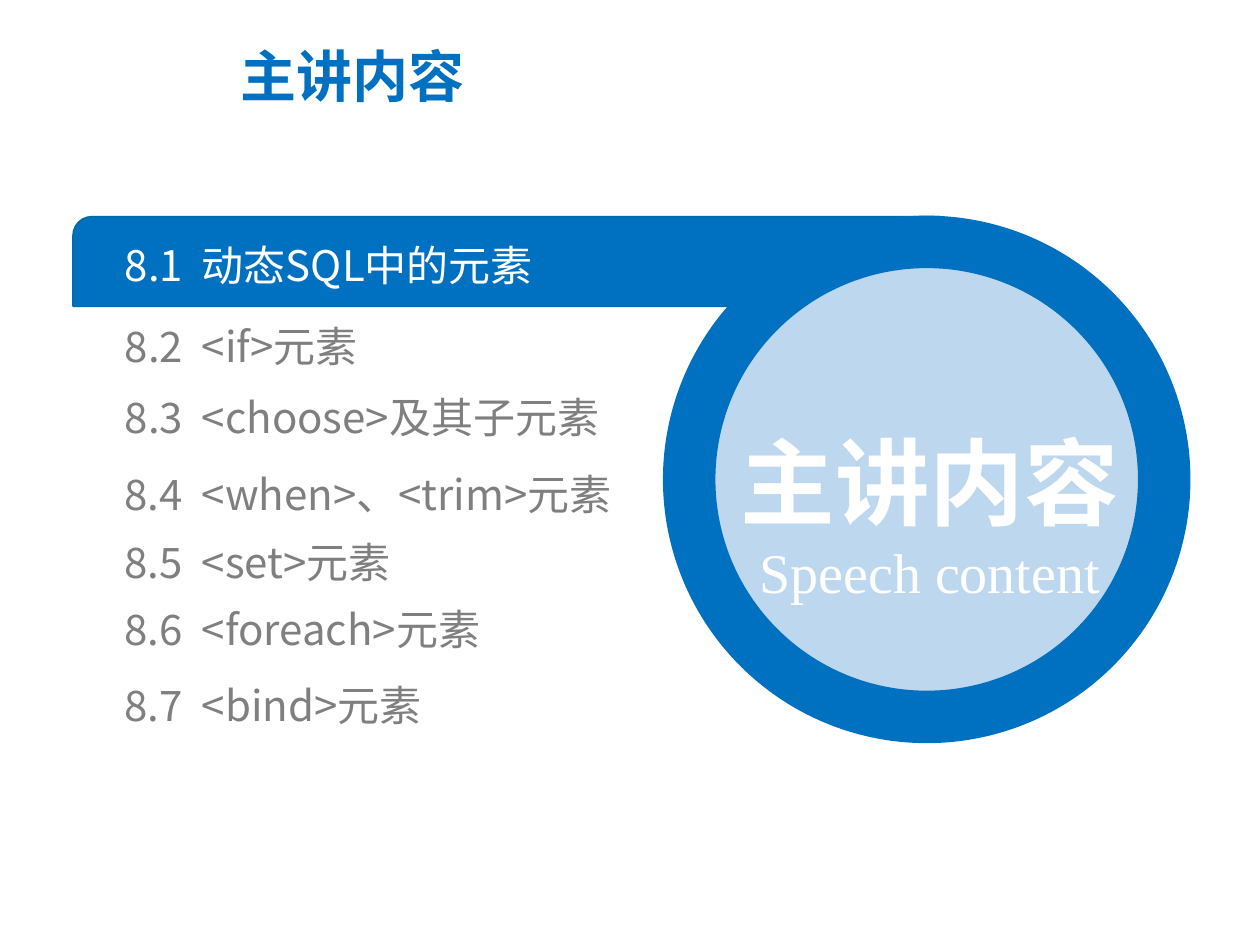
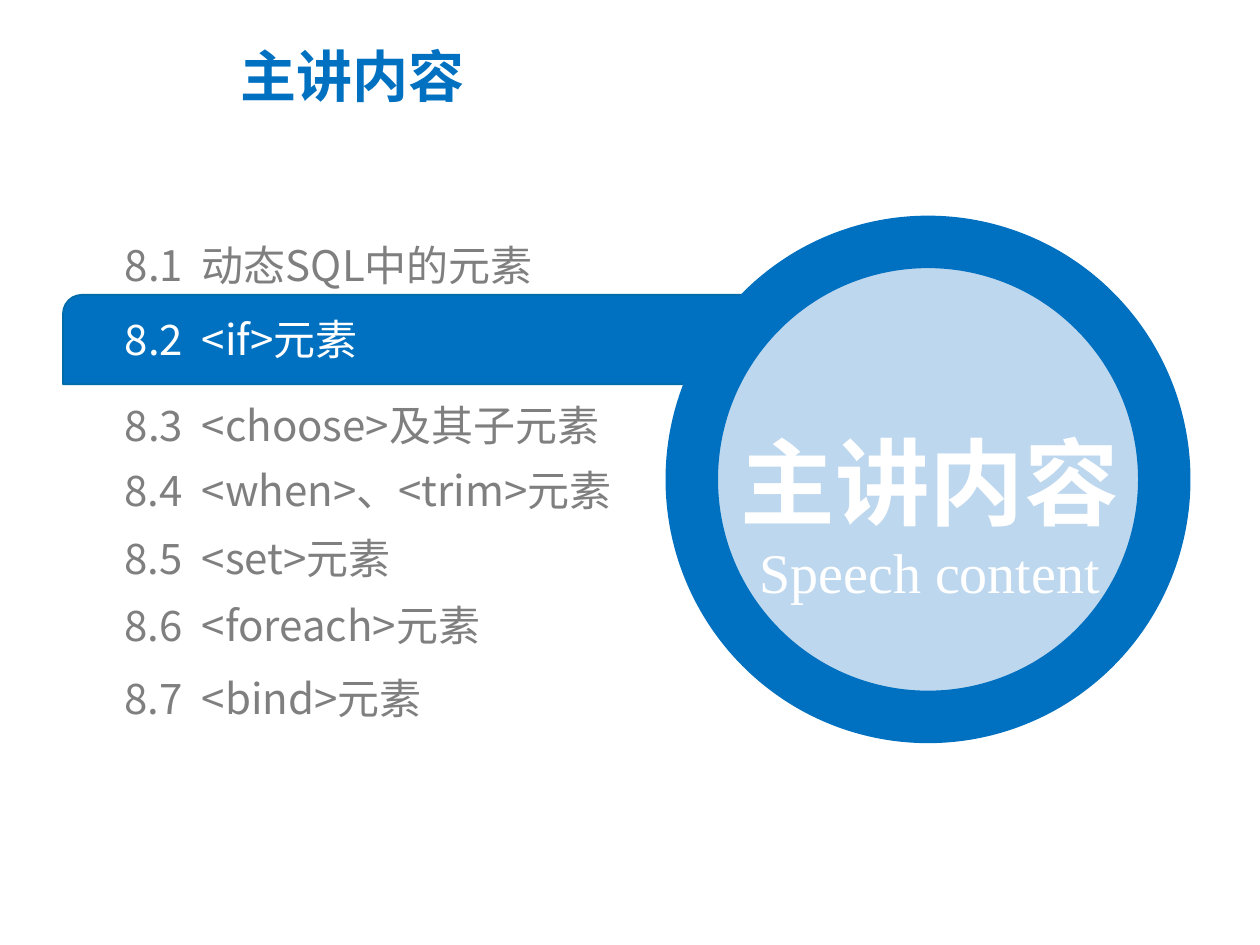
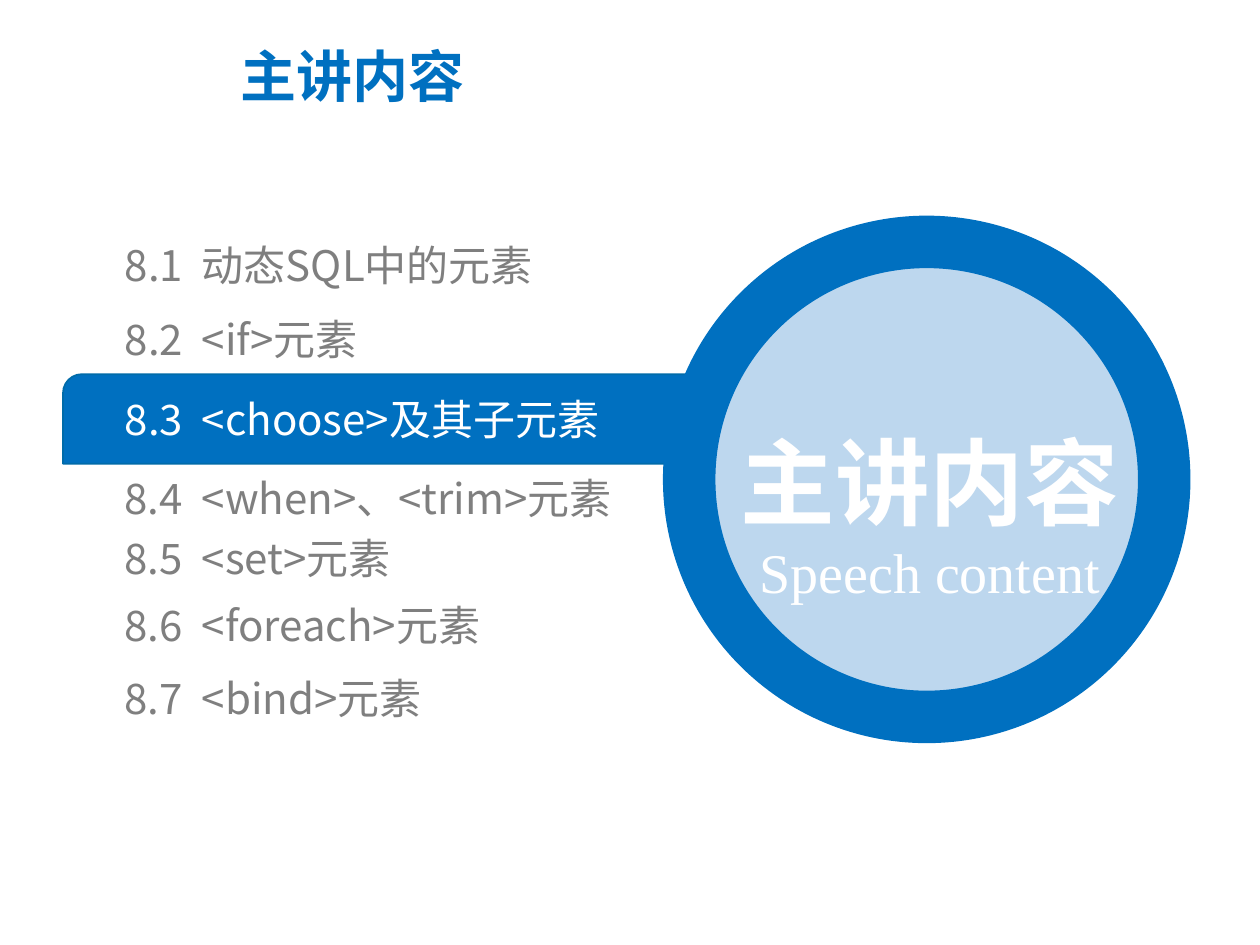
import pptx
import pptx.dml.color
import pptx.enum.shapes
import pptx.enum.text
import pptx.oxml.ns
import pptx.util
from pptx.util import Inches

BLUE, DARK_BLUE, PALE_BLUE = "0070C0", "006BA9", "BDD7EE"
GRAY, WHITE = "7F7F7F", "FFFFFF"
CHINESE_FONT, ENGLISH_FONT = "Noto Sans CJK SC", "Times New Roman"
HEADING = "主讲内容"
RING_RIGHT = 9.24

# Topic text and the width of its box
TOPICS = [
    ("8.1  动态SQL中的元素", 5.35),
    ("8.2  <if>元素", 4.62),
    ("8.3  <choose>及其子元素", 8.82),
    ("8.4  <when>、<trim>元素", 4.36),
    ("8.5  <set>元素", 4.36),
    ("8.6  <foreach>元素", 4.36),
    ("8.7  <bind>元素", 4.36),
]

# One entry per slide; the slide's position is also the highlighted topic
AGENDAS = [
    {"bar": (0.58, 1.72), "ring_left": 5.47,
     "tops": [1.9, 2.54, 3.11, 3.72, 4.26, 4.79, 5.39]},
    {"bar": (0.5, 2.34), "ring_left": 5.49,
     "tops": [1.9, 2.49, 3.17, 3.69, 4.23, 4.76, 5.34]},
    {"bar": (0.5, 2.97), "ring_left": 5.47,
     "tops": [1.9, 2.49, 3.12, 3.75, 4.23, 4.76, 5.34]},
]


def rgb(value):
    return pptx.dml.color.RGBColor.from_string(value)


def write(para, text, size=24, color=GRAY, bold=False, font=CHINESE_FONT,
          align=pptx.enum.text.PP_ALIGN.LEFT, spacing=1.0):
    """Add formatted text to a paragraph, with one font for all scripts."""
    para.alignment = align
    para.line_spacing = spacing
    span = para.add_run()
    span.text = text
    span.font.size = pptx.util.Pt(size)
    span.font.bold = bold
    span.font.color.rgb = rgb(color)
    span.font.name = font
    east_asian = span.font._element.makeelement(
        pptx.oxml.ns.qn("a:ea"), {"typeface": font})
    span.font._element.append(east_asian)


deck = pptx.Presentation()
deck.slide_width, deck.slide_height = Inches(10), Inches(7.5)
title_only = deck.slide_layouts[5]
shapes_kind = pptx.enum.shapes.MSO_SHAPE
anchor = pptx.enum.text.MSO_ANCHOR
auto_size = pptx.enum.text.MSO_AUTO_SIZE
center = pptx.enum.text.PP_ALIGN.CENTER

for active, agenda in enumerate(AGENDAS):
    page = deck.slides.add_slide(title_only)

    title = page.shapes.title
    title.left, title.top = Inches(1.81), Inches(0.34)
    title.width, title.height = Inches(6.15), Inches(0.85)
    title.text_frame.vertical_anchor = anchor.TOP
    title.text_frame.auto_size = auto_size.NONE
    write(title.text_frame.paragraphs[0], HEADING, size=32, color=BLUE,
          bold=True, spacing=0.9)

    bar_left, bar_top = agenda["bar"]
    bar = page.shapes.add_shape(
        shapes_kind.ROUND_2_DIAG_RECTANGLE,
        Inches(bar_left), Inches(bar_top), Inches(6.88), Inches(0.71))
    bar.adjustments[0] = 0.21
    ring_left = agenda["ring_left"]
    ring = page.shapes.add_shape(
        shapes_kind.OVAL, Inches(ring_left), Inches(1.92),
        Inches(RING_RIGHT - ring_left), Inches(3.77))
    for shape, fill, line, weight in [(bar, BLUE, DARK_BLUE, 1),
                                      (ring, PALE_BLUE, BLUE, 30)]:
        shape.shadow.inherit = False
        shape.fill.solid()
        shape.fill.fore_color.rgb = rgb(fill)
        shape.line.color.rgb = rgb(line)
        shape.line.width = pptx.util.Pt(weight)

    caption = page.shapes.add_textbox(
        Inches(5.43), Inches(2.86), Inches(3.9), Inches(1.99)).text_frame
    caption.word_wrap = True
    caption.auto_size = auto_size.SHAPE_TO_FIT_TEXT
    caption.vertical_anchor = anchor.MIDDLE
    write(caption.paragraphs[0], HEADING, size=54, color=WHITE, bold=True,
          align=center, spacing=1.5)
    write(caption.add_paragraph(), "Speech content", size=32, color=WHITE,
          font=ENGLISH_FONT, align=center)

    for index, ((topic, width), top) in enumerate(zip(TOPICS, agenda["tops"])):
        frame = page.shapes.add_textbox(
            Inches(0.99), Inches(top), Inches(width), Inches(0.4)).text_frame
        frame.margin_left = frame.margin_right = 0
        frame.margin_top = frame.margin_bottom = 0
        frame.word_wrap = True
        frame.auto_size = auto_size.SHAPE_TO_FIT_TEXT
        frame.vertical_anchor = anchor.MIDDLE
        write(frame.paragraphs[0], topic,
              color=WHITE if index == active else GRAY)

deck.save("out.pptx")
